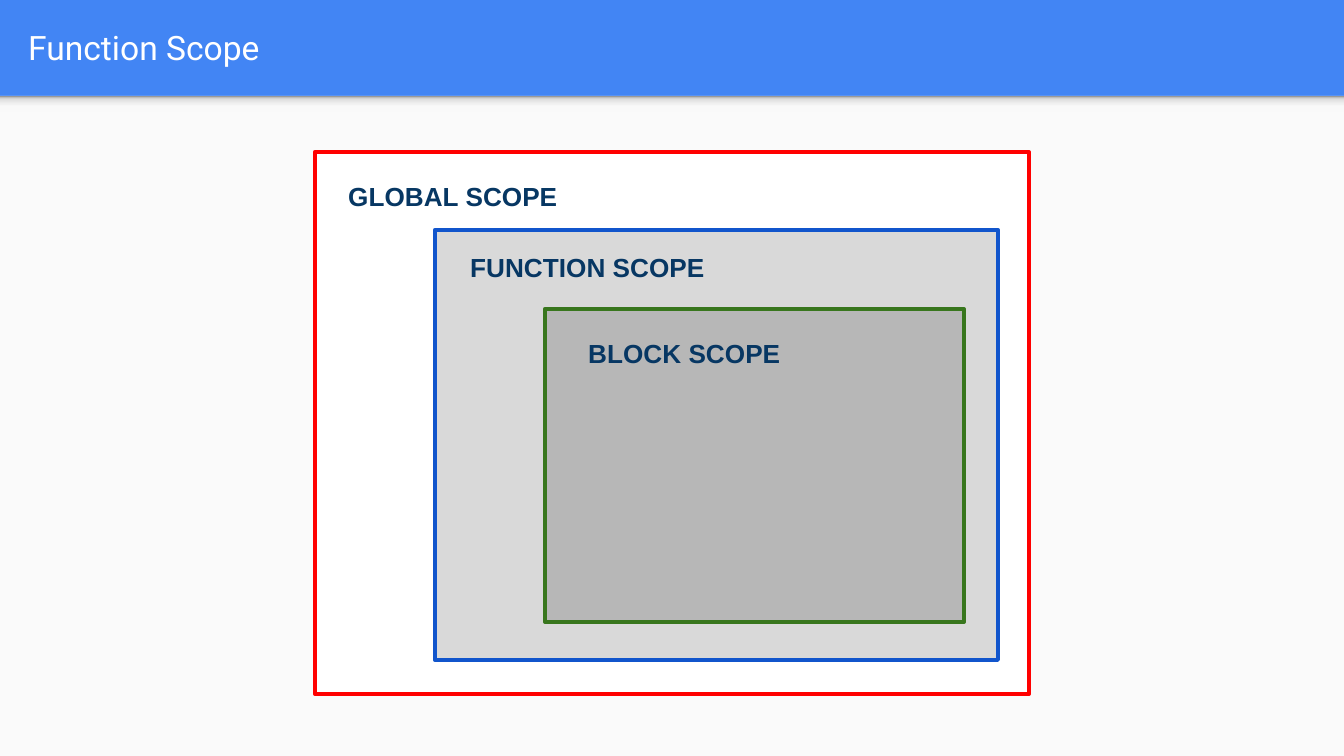
from lxml.etree import SubElement
from pptx import Presentation
from pptx.dml.color import RGBColor as RGB
from pptx.enum.shapes import MSO_SHAPE as SHAPE
from pptx.enum.text import MSO_ANCHOR as ANCHOR
from pptx.oxml.ns import qn
from pptx.util import Emu, Inches, Pt

PX = Inches(10) / 1344
WIDTH, HEIGHT = 1344, 756
HEADER_H = 96

BLUE = RGB(0x42, 0x85, 0xF4)
PAPER = RGB(0xFA, 0xFA, 0xFA)
WHITE = RGB(0xFF, 0xFF, 0xFF)
NAVY = RGB(0x07, 0x37, 0x63)
LIGHT_GRAY = RGB(0xD9, 0xD9, 0xD9)
MID_GRAY = RGB(0xB7, 0xB7, 0xB7)
RED = RGB(0xFF, 0x00, 0x00)
ROYAL = RGB(0x11, 0x55, 0xCC)
GREEN = RGB(0x38, 0x76, 0x1D)
SHADE_STOPS = [
    (0, RGB(0xF9, 0xF9, 0xF9)),
    (36, RGB(0xF9, 0xF9, 0xF9)),
    (80, RGB(0xDE, 0xDE, 0xDE)),
    (100, RGB(0x99, 0x99, 0x99)),
]

SCOPES = [
    ("GLOBAL SCOPE", (315, 152, 714, 542), (335, 167), WHITE, RED),
    ("FUNCTION SCOPE", (435, 230, 563, 430), (457, 238), LIGHT_GRAY, ROYAL),
    ("BLOCK SCOPE", (545, 309, 419, 313), (575, 324), MID_GRAY, GREEN),
]
LABEL_SIZE = (282, 46)


def px(*lengths):
    return [Emu(round(n * PX)) for n in lengths]


def add_rect(shapes, box, fill, line=None):
    sp = shapes.add_shape(SHAPE.RECTANGLE, *px(*box))
    sp.shadow.inherit = False
    sp.fill.solid()
    sp.fill.fore_color.rgb = fill
    if line is None:
        sp.line.fill.background()
    else:
        sp.line.color.rgb = line
        sp.line.width = Pt(2.25)
        SubElement(sp.line._get_or_add_ln(), qn("a:round"))
    return sp


def add_shade(shapes, box):
    sp = add_rect(shapes, box, PAPER)
    sp.fill.gradient()
    sp.fill.gradient_angle = 90
    stops = sp._element.spPr.find(".//" + qn("a:gsLst"))
    stops.clear()
    for pos, color in SHADE_STOPS:
        stop = SubElement(stops, qn("a:gs"), pos=str(pos * 1000))
        SubElement(stop, qn("a:srgbClr"), val=str(color))


def add_text(shapes, box, text, font, size, color, bold=False, anchor=ANCHOR.TOP):
    tf = shapes.add_textbox(*px(*box)).text_frame
    tf.word_wrap = True
    tf.vertical_anchor = anchor
    tf.margin_left = tf.margin_right = Inches(0.1)
    tf.margin_top = tf.margin_bottom = Inches(0.1)
    r = tf.paragraphs[0].add_run()
    r.text = text
    r.font.name = font
    r.font.size = Pt(size)
    r.font.bold = bold
    r.font.color.rgb = color


def main():
    prs = Presentation()
    prs.slide_width, prs.slide_height = px(WIDTH, HEIGHT)
    s = prs.slides.add_slide(prs.slide_layouts[6])
    s.background.fill.solid()
    s.background.fill.fore_color.rgb = BLUE

    add_rect(s.shapes, (0, HEADER_H, WIDTH, HEIGHT - HEADER_H), PAPER)
    add_shade(s.shapes, (0, HEADER_H, WIDTH, 16))
    add_text(s.shapes, (15, 3, 1297, 89), "Function Scope", "Roboto", 18, WHITE,
             anchor=ANCHOR.MIDDLE)

    diagram = s.shapes.add_group_shape().shapes
    for name, box, label_at, fill, line in SCOPES:
        add_rect(diagram, box, fill, line)
        add_text(diagram, label_at + LABEL_SIZE, name, "Arial", 14, NAVY, bold=True)

    prs.save("out.pptx")


main()
